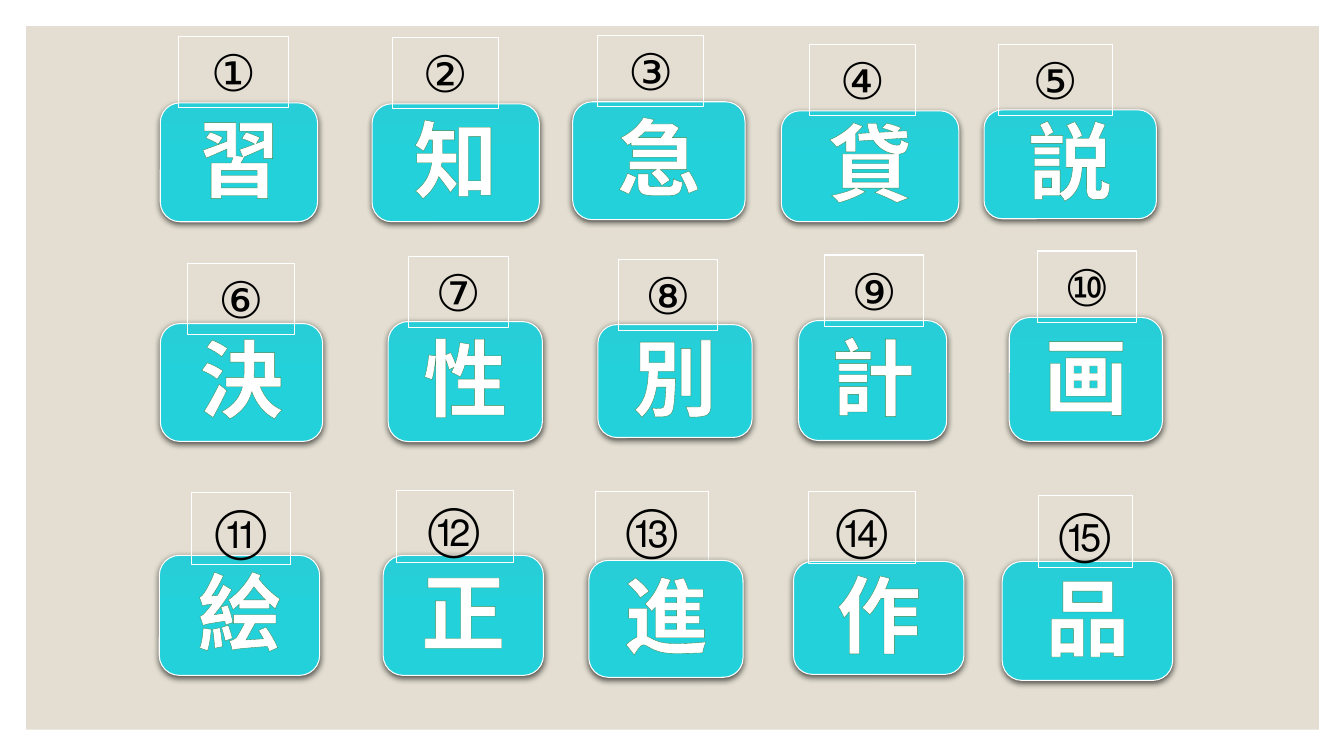
"""Build a slide of fifteen numbered kanji cards in three rows."""
from pptx import Presentation
from pptx.dml.color import RGBColor
from pptx.enum.shapes import MSO_SHAPE
from pptx.enum.text import MSO_ANCHOR, MSO_AUTO_SIZE, PP_ALIGN
from pptx.oxml import parse_xml
from pptx.oxml.ns import nsdecls
from pptx.util import Inches, Pt

COLORS = {
    "panel": "E3DED1", "edge": "FFFFFF", "kanji": "FFFFFF", "numeral": "000000",
    "outline": "3E8853", "shadow": "000000",
    "card_top": "27CED7", "card_middle": "22D1DA", "card_bottom": "22D0D9",
}
KANJI_FONT = {"name": "Arial", "size": Pt(60), "bold": True}
NUMERAL_FONT = {"name": "League Spartan", "size": Pt(36), "bold": False}
KANJI_FRAME = {
    "margin_left": 0, "margin_top": 0, "margin_right": 0, "margin_bottom": Inches(0.1),
    "vertical_anchor": MSO_ANCHOR.MIDDLE, "word_wrap": True,
}
NUMERAL_FRAME = {"word_wrap": True, "auto_size": MSO_AUTO_SIZE.SHAPE_TO_FIT_TEXT}
NUMERAL_HEIGHT = 0.71
NUMERALS_BEHIND = "⑬"

CARDS = [
    ("習", (1.59, 1.02, 1.56, 1.18), "①", (1.77, 0.36, 1.09)),
    ("知", (3.69, 1.03, 1.66, 1.17), "②", (3.89, 0.37, 1.05)),
    ("急", (5.68, 1.01, 1.71, 1.17), "③", (5.93, 0.35, 1.05)),
    ("貸", (7.75, 1.1, 1.76, 1.1), "④", (8.03, 0.44, 1.05)),
    ("説", (9.76, 1.09, 1.71, 1.08), "⑤", (9.9, 0.44, 1.13)),
    ("決", (1.59, 3.21, 1.61, 1.17), "⑥", (1.86, 2.61, 1.06)),
    ("性", (3.85, 3.19, 1.53, 1.19), "⑦", (4.05, 2.54, 0.99)),
    ("別", (5.93, 3.22, 1.53, 1.12), "⑧", (6.13, 2.57, 0.99)),
    ("計", (7.92, 3.18, 1.47, 1.19), "⑨", (8.18, 2.53, 0.98)),
    ("画", (10.01, 3.15, 1.52, 1.23), "⑩", (10.29, 2.49, 0.98)),
    ("絵", (1.58, 5.51, 1.59, 1.19), "⑪", (1.9, 4.89, 0.98)),
    ("正", (3.8, 5.51, 1.59, 1.19), "⑫", (3.93, 4.87, 1.16)),
    ("進", (5.84, 5.56, 1.53, 1.16), "⑬", (5.91, 4.88, 1.12)),
    ("作", (7.87, 5.57, 1.69, 1.12), "⑭", (8.02, 4.88, 1.06)),
    ("品", (9.94, 5.57, 1.69, 1.18), "⑮", (10.3, 4.92, 0.93)),
]


def color(key):
    return RGBColor.from_string(COLORS[key])


def set_attributes(target, values):
    for name, value in values.items():
        setattr(target, name, value)


def set_edge(shape):
    shape.line.color.rgb = color("edge")
    shape.line.width = Pt(0.75)


def write_text(shape, text, frame_format, font_format, color_key):
    set_attributes(shape.text_frame, frame_format)
    paragraph = shape.text_frame.paragraphs[0]
    paragraph.alignment = PP_ALIGN.CENTER
    run = paragraph.add_run()
    run.text = text
    set_attributes(run.font, font_format)
    run.font.color.rgb = color(color_key)
    return run


def card_gradient():
    keys = ("card_top", "card_middle", "card_bottom")
    stops = "".join(
        f'<a:gs pos="{index * 50000}"><a:srgbClr val="{COLORS[key]}"/></a:gs>'
        for index, key in enumerate(keys))
    return parse_xml(
        f'<a:gradFill {nsdecls("a")} rotWithShape="1"><a:gsLst>{stops}</a:gsLst>'
        '<a:lin ang="5400000" scaled="0"/></a:gradFill>')


def card_shadow():
    return parse_xml(
        f'<a:effectLst {nsdecls("a")}><a:outerShdw blurRad="{Pt(4.5)}" dist="{Pt(1.5)}" '
        f'dir="5400000" algn="ctr" rotWithShape="0"><a:srgbClr val="{COLORS["shadow"]}">'
        '<a:alpha val="63000"/></a:srgbClr></a:outerShdw></a:effectLst>')


def kanji_outline():
    return parse_xml(
        f'<a:ln {nsdecls("a")} w="{Pt(0.8)}"><a:solidFill>'
        f'<a:srgbClr val="{COLORS["outline"]}"/></a:solidFill></a:ln>')


def add_panel(slide):
    panel = slide.shapes.add_shape(
        MSO_SHAPE.RECTANGLE, *map(Inches, (0.26, 0.26, 12.82, 6.98)))
    panel.shadow.inherit = False
    panel.fill.solid()
    panel.fill.fore_color.rgb = color("panel")
    panel.line.fill.background()


def add_card(slide, kanji, bounds):
    card = slide.shapes.add_shape(MSO_SHAPE.ROUNDED_RECTANGLE, *map(Inches, bounds))
    properties = card._element.spPr
    properties.append(card_gradient())
    set_edge(card)
    properties.append(card_shadow())
    run = write_text(card, kanji, KANJI_FRAME, KANJI_FONT, "kanji")
    run.font._element.insert(0, kanji_outline())


def add_numeral(slide, numeral, bounds):
    label = slide.shapes.add_textbox(*map(Inches, (*bounds, NUMERAL_HEIGHT)))
    set_edge(label)
    write_text(label, numeral, NUMERAL_FRAME, NUMERAL_FONT, "numeral")


def main():
    presentation = Presentation()
    presentation.slide_width = Inches(13.33)
    presentation.slide_height = Inches(7.5)
    slide = presentation.slides.add_slide(presentation.slide_layouts[6])
    add_panel(slide)
    for kanji, card_bounds, numeral, numeral_bounds in CARDS:
        if numeral in NUMERALS_BEHIND:
            add_numeral(slide, numeral, numeral_bounds)
            add_card(slide, kanji, card_bounds)
        else:
            add_card(slide, kanji, card_bounds)
            add_numeral(slide, numeral, numeral_bounds)
    presentation.save("out.pptx")


if __name__ == "__main__":
    main()
